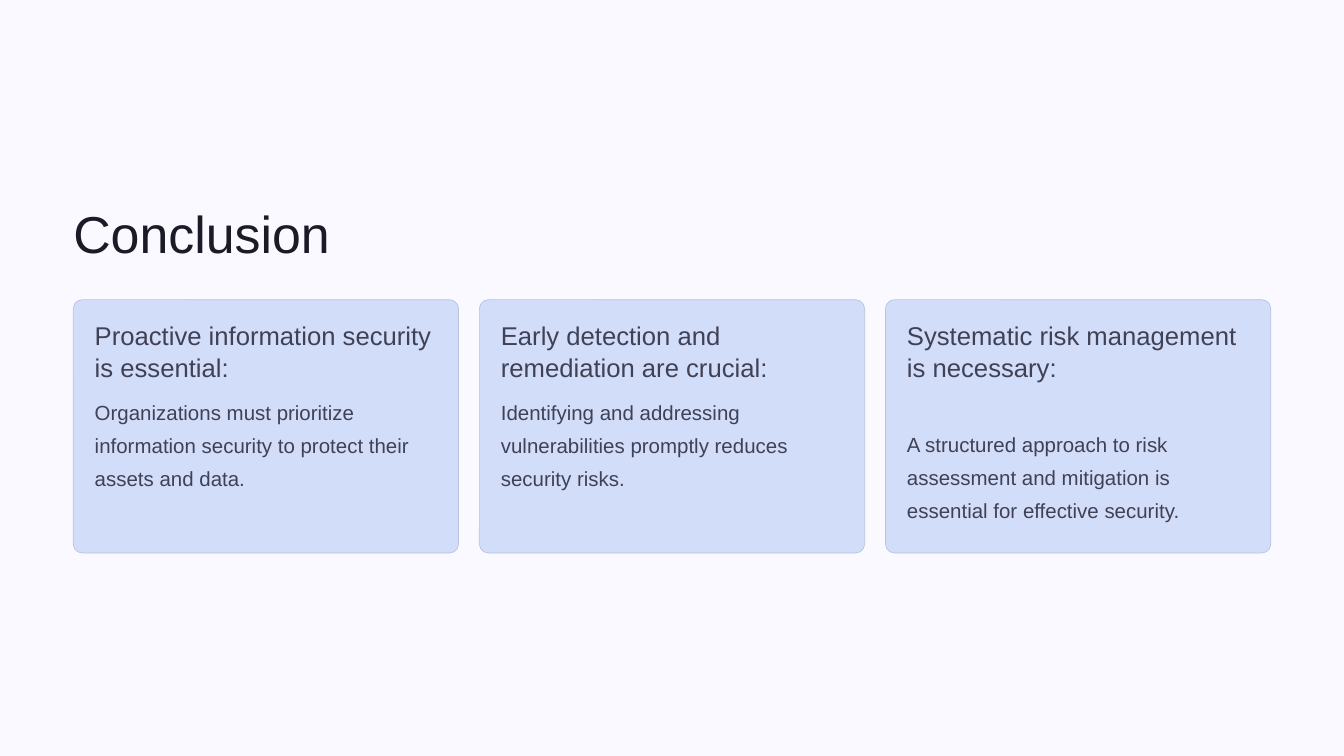
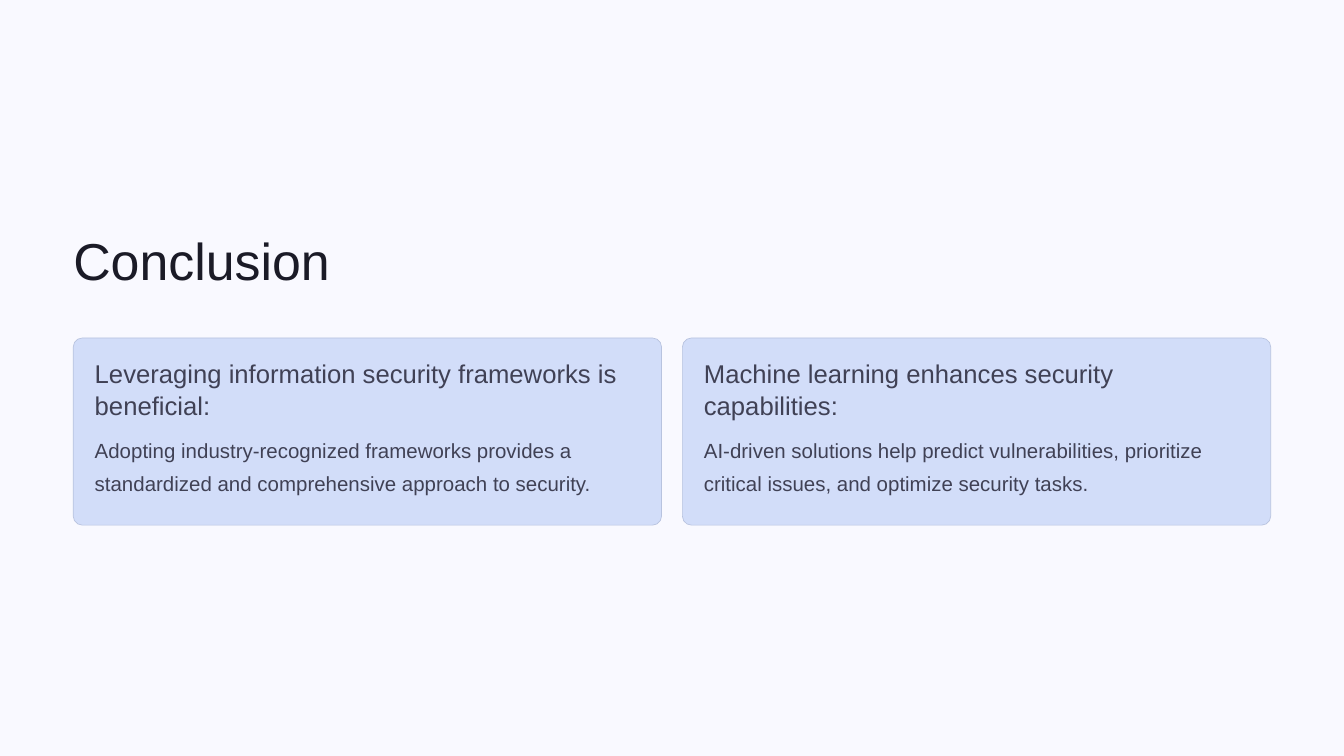
from dataclasses import dataclass

from pptx import Presentation
from pptx.dml.color import RGBColor
from pptx.enum.shapes import MSO_SHAPE
from pptx.enum.text import MSO_AUTO_SIZE
from pptx.presentation import Presentation as Deck
from pptx.slide import Slide
from pptx.util import Inches, Length, Pt

COLORS = {
    "background": "F9F9FF",
    "title": "1B1B27",
    "text": "404155",
    "card": "D2DDF9",
    "border": "B8C3DF",
}
FONT = "Arial"

# Slide grid: 80 columns by 45 rows of square cells
COLUMNS, ROWS = 80, 45
CELL_INCHES = 0.25
MARGIN = 4.36
GAP = 1.24
CORNER_RADIUS = 0.54

# Offsets inside a card, in cells
INSET = 1.28
HEADING_TOP = 1.1
HEADING_HEIGHT = 3.84
BODY_TOP = 5.44


@dataclass(frozen=True)
class TextStyle:
    size: float
    line_spacing: float
    color: str


TITLE = TextStyle(55.6, 69.3, "title")
HEADING = TextStyle(27.5, 34.4, "text")
BODY = TextStyle(21.9, 35.6, "text")


@dataclass(frozen=True)
class Box:
    """A rectangle measured in grid cells."""
    left: float
    top: float
    width: float
    height: float

    def lengths(self) -> tuple[Length, ...]:
        cells = (self.left, self.top, self.width, self.height)
        return tuple(Inches(cell * CELL_INCHES) for cell in cells)


@dataclass(frozen=True)
class Card:
    heading: str
    body: str
    body_drop: float = 0


@dataclass(frozen=True)
class CardSlide:
    title: str
    title_top: float
    cards_top: float
    cards_height: float
    body_height: float
    cards: tuple[Card, ...]


SLIDES = (
    CardSlide("Conclusion", 11.84, 17.84, 15.08, 6.4, (
        Card("Proactive information security is essential:",
             "Organizations must prioritize information security to protect "
             "their assets and data."),
        Card("Early detection and remediation are crucial:",
             "Identifying and addressing vulnerabilities promptly reduces "
             "security risks."),
        Card("Systematic risk management is necessary:",
             "A structured approach to risk assessment and mitigation is "
             "essential for effective security.", body_drop=1.92),
    )),
    CardSlide("Conclusion", 13.48, 20.12, 11.14, 4.44, (
        Card("Leveraging information security frameworks is beneficial:",
             "Adopting industry-recognized frameworks provides a standardized "
             "and comprehensive approach to security."),
        Card("Machine learning enhances security capabilities:",
             "AI-driven solutions help predict vulnerabilities, prioritize "
             "critical issues, and optimize security tasks."),
    )),
)


def color(name: str) -> RGBColor:
    return RGBColor.from_string(COLORS[name])


def add_text(slide: Slide, box: Box, text: str, style: TextStyle) -> None:
    frame = slide.shapes.add_textbox(*box.lengths()).text_frame
    frame.word_wrap = True
    frame.auto_size = MSO_AUTO_SIZE.SHAPE_TO_FIT_TEXT
    frame.margin_left = frame.margin_right = 0
    frame.margin_top = frame.margin_bottom = 0
    paragraph = frame.paragraphs[0]
    paragraph.line_spacing = Pt(style.line_spacing)
    run = paragraph.add_run()
    run.text = text
    run.font.name = FONT
    run.font.size = Pt(style.size)
    run.font.color.rgb = color(style.color)


def add_panel(slide: Slide, box: Box) -> None:
    shape = slide.shapes.add_shape(MSO_SHAPE.ROUNDED_RECTANGLE, *box.lengths())
    shape.adjustments[0] = CORNER_RADIUS / min(box.width, box.height)
    shape.shadow.inherit = False
    shape.fill.solid()
    shape.fill.fore_color.rgb = color("card")
    shape.line.color.rgb = color("border")
    shape.line.width = Pt(0.75)


def add_card(slide: Slide, box: Box, card: Card, body_height: float) -> None:
    add_panel(slide, box)
    left, width = box.left + INSET, box.width - 2 * INSET
    heading_box = Box(left, box.top + HEADING_TOP, width, HEADING_HEIGHT)
    body_box = Box(left, box.top + BODY_TOP + card.body_drop, width, body_height)
    add_text(slide, heading_box, card.heading, HEADING)
    add_text(slide, body_box, card.body, BODY)


def add_card_slide(presentation: Deck, content: CardSlide) -> None:
    slide = presentation.slides.add_slide(presentation.slide_layouts[6])
    slide.background.fill.solid()
    slide.background.fill.fore_color.rgb = color("background")
    add_text(slide, Box(MARGIN, content.title_top, 31, 4.12), content.title, TITLE)

    count = len(content.cards)
    card_width = (COLUMNS - 2 * MARGIN - (count - 1) * GAP) / count
    for index, card in enumerate(content.cards):
        left = MARGIN + index * (card_width + GAP)
        box = Box(left, content.cards_top, card_width, content.cards_height)
        add_card(slide, box, card, content.body_height)


def main() -> None:
    presentation = Presentation()
    presentation.slide_width = Inches(COLUMNS * CELL_INCHES)
    presentation.slide_height = Inches(ROWS * CELL_INCHES)
    for content in SLIDES:
        add_card_slide(presentation, content)
    presentation.save("out.pptx")


if __name__ == "__main__":
    main()
